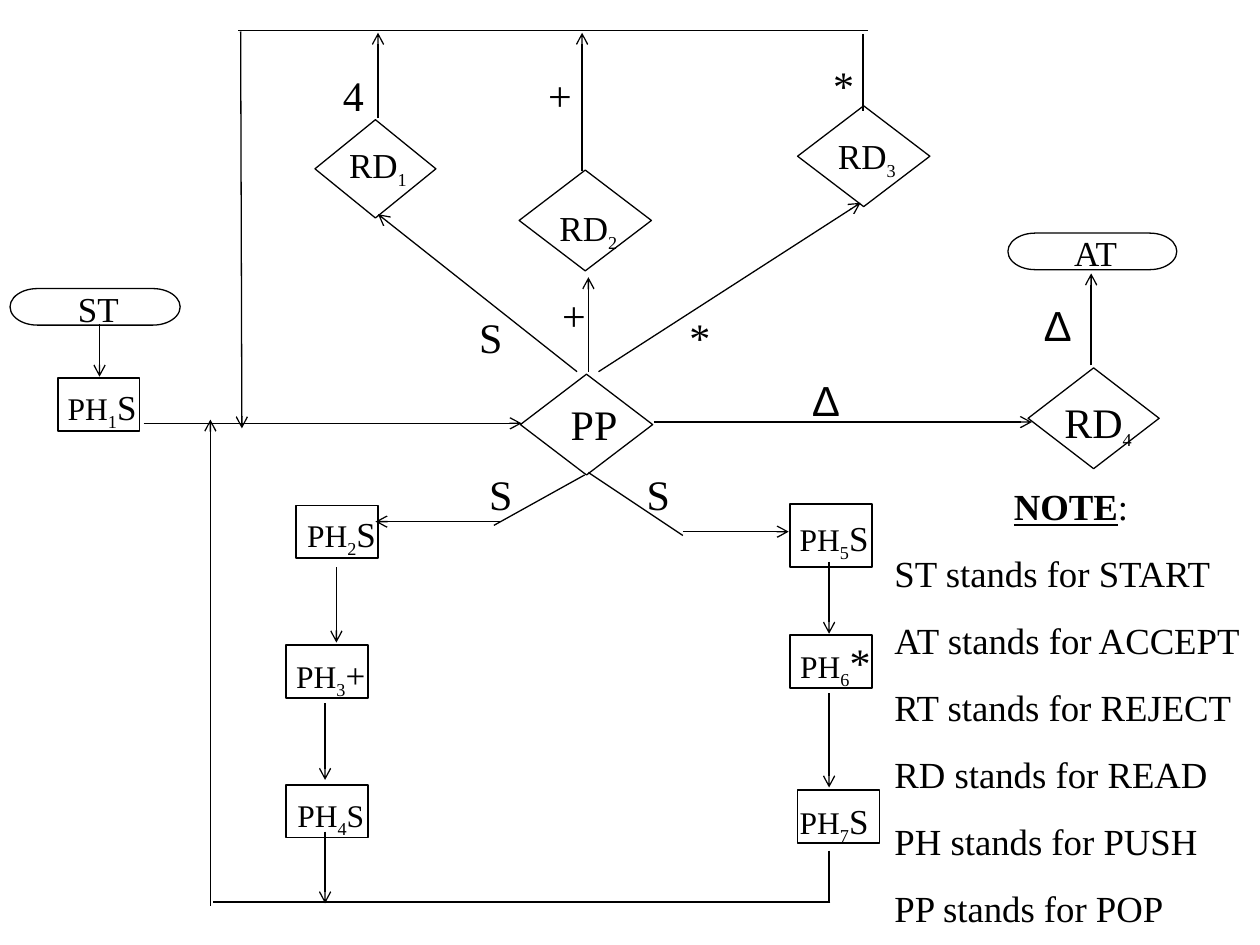
import pptx
import pptx.dml.color
import pptx.enum.shapes
import pptx.enum.text
import pptx.oxml.ns
import pptx.util
import lxml.etree

Inches = pptx.util.Inches
SHAPE = pptx.enum.shapes.MSO_SHAPE
INK = "000000"
SERIF = "Times New Roman"

PUSH_NODES = [
    ((0.46, 3, 0.65, 0.42), (-0.04, 0.01, 0.78, 0.47), "1", "S", 20),
    ((2.35, 4.01, 0.65, 0.42), (-0.03, 0.01, 0.78, 0.47), "2", "S", 20),
    ((2.27, 5.12, 0.65, 0.42), (-0.04, 0.02, 0.79, 0.47), "3", "+", 20),
    ((2.27, 6.23, 0.65, 0.42), (-0.03, 0.04, 0.77, 0.44), "4", "S", 18),
    ((6.27, 4, 0.65, 0.5), (-0.04, 0.05, 0.78, 0.47), "5", "S", 20),
    ((6.27, 5.04, 0.65, 0.42), (-0.04, -0.04, 0.8, 0.53), "6", "*", 24),
    ((6.33, 6.27, 0.65, 0.42), (-0.1, 0.03, 0.78, 0.47), "7", "S", 20),
]
DECISION_NODES = [
    ((2.5, 0.95, 0.96, 0.78), (0.15, 0.14, 0.7, 0.47), "RD", "1", 20),
    ((4.12, 1.35, 1.05, 0.8), (0.2, 0.24, 0.7, 0.47), "RD", "2", 20),
    ((6.33, 0.84, 1.05, 0.8), (0.2, 0.18, 0.7, 0.47), "RD", "3", 20),
    ((8.16, 2.92, 1.04, 0.8), (0.17, 0.18, 0.77, 0.53), "RD", "4", 24),
    ((4.13, 2.97, 1.05, 0.8), (0.28, 0.14, 0.61, 0.5), "PP", "", 24),
]
TERMINAL_NODES = [
    ((8, 1.85, 1.34, 0.29), (0.25, -0.06, 0.89, 0.44), "AT"),
    ((0.08, 2.29, 1.35, 0.29), (0.25, -0.06, 0.9, 0.44), "ST"),
]
EDGE_LABELS = [
    (2.58, 0.5, "4"), (4.22, 0.5, "+"), (6.47, 0.42, "*"),
    (3.67, 2.42, "S"), (4.33, 2.25, "+"), (5.33, 2.42, "*"),
    (3.75, 3.67, "S"), (5, 3.67, "S"), (8.17, 2.33, "∆"), (6.33, 2.92, "∆"),
]
ARROWS = [
    (3, 0.94, 3, 0.26), (4.62, 1.36, 4.62, 0.26), (1.91, 0.25, 1.92, 3.4),
    (0.79, 2.57, 0.79, 2.99), (1.14, 3.36, 4.14, 3.36), (8.66, 2.9, 8.66, 2.17),
    (4.58, 2.95, 3, 1.7), (4.67, 2.95, 4.67, 2.2), (4.75, 2.95, 6.83, 1.61),
    (5.19, 3.35, 8.19, 3.35), (3.98, 4.14, 2.98, 4.14), (5.42, 4.22, 6.26, 4.22),
    (2.67, 4.5, 2.67, 5.1), (2.58, 5.58, 2.58, 6.19), (2.58, 6.6, 2.58, 7.17),
    (6.58, 4.46, 6.58, 5.03), (6.58, 5.5, 6.58, 6.25), (1.67, 7.19, 1.67, 3.33),
]
PLAIN_LINES = [
    (6.89, 0.24, 1.89, 0.24), (6.85, 0.27, 6.85, 0.88), (3.92, 4.17, 4.64, 3.77),
    (5.42, 4.25, 4.67, 3.75), (6.59, 7.16, 1.69, 7.16), (6.58, 6.75, 6.58, 7.15),
]
MEANINGS = {"ST": "START", "AT": "ACCEPT", "RT": "REJECT",
            "RD": "READ", "PH": "PUSH", "PP": "POP"}


def color(value):
    """Turn a hex string into a colour."""
    return pptx.dml.color.RGBColor.from_string(value)


def add_span(para, text, size, face=SERIF, subscript=False):
    """Add one formatted run to a paragraph."""
    span = para.add_run()
    span.text = text
    span.font.size = pptx.util.Pt(size)
    span.font.name = face
    span.font.color.rgb = color(INK)
    if subscript:
        span.font._element.set("baseline", "-25000")
    return span


def add_text_box(page, box, wrap=True):
    """Add an empty text box and return its frame."""
    frame = page.shapes.add_textbox(*map(Inches, box)).text_frame
    frame.word_wrap = wrap
    frame.auto_size = pptx.enum.text.MSO_AUTO_SIZE.SHAPE_TO_FIT_TEXT
    return frame


def add_label(page, box, spans, wrap=False):
    """Add a centred one-line label from (text, size, face, subscript) spans."""
    para = add_text_box(page, box, wrap).paragraphs[0]
    para.alignment = pptx.enum.text.PP_ALIGN.CENTER
    for span in spans:
        add_span(para, *span)


def add_node(page, kind, box, label_box, spans, wrap=False):
    """Add an outlined node with a label placed relative to its box."""
    shape = page.shapes.add_shape(kind, *map(Inches, box))
    shape.shadow.inherit = False
    shape.fill.background()
    shape.line.color.rgb = color(INK)
    shape.line.width = pptx.util.Pt(0.75)
    left, top, width, height = label_box
    add_label(page, (box[0] + left, box[1] + top, width, height), spans, wrap)


def add_nodes(page):
    """Add the push, decision and terminal nodes."""
    for box, label_box, number, symbol, size in PUSH_NODES:
        spans = [("PH", 18), (number, 18, SERIF, True), (symbol, size)]
        add_node(page, SHAPE.RECTANGLE, box, label_box, spans)
    for box, label_box, name, number, size in DECISION_NODES:
        spans = [(name, size)]
        if number:
            spans.append((number, 18, SERIF, True))
        add_node(page, SHAPE.FLOWCHART_DECISION, box, label_box, spans)
    for box, label_box, name in TERMINAL_NODES:
        add_node(page, SHAPE.FLOWCHART_TERMINATOR, box, label_box, [(name, 20)], True)


def add_line(page, ends, arrow=False):
    """Add a straight line, with an arrowhead at its end if asked."""
    line = page.shapes.add_connector(
        pptx.enum.shapes.MSO_CONNECTOR.STRAIGHT, *map(Inches, ends))
    line.line.color.rgb = color(INK)
    line.line.width = pptx.util.Pt(0.75)
    qualify = pptx.oxml.ns.qn
    if arrow:
        outline = line.line._get_or_add_ln()
        lxml.etree.SubElement(outline, qualify("a:tailEnd"), type="arrow")
    lxml.etree.SubElement(line._element.spPr, qualify("a:effectLst"))


def add_edges(page):
    """Add all lines, arrows and the symbols read along them."""
    for ends in ARROWS:
        add_line(page, ends, arrow=True)
    for ends in PLAIN_LINES:
        add_line(page, ends)
    for left, top, symbol in EDGE_LABELS:
        face = "Arial" if symbol == "∆" else SERIF
        add_label(page, (left, top, 0.45, 0.5), [(symbol, 24, face)], wrap=True)


def add_note(page, box):
    """Add the key to the abbreviations."""
    frame = add_text_box(page, box)
    heading = frame.paragraphs[0]
    heading.alignment = pptx.enum.text.PP_ALIGN.CENTER
    title = add_span(heading, "NOTE", 21)
    title.font.bold = True
    title.font.underline = True
    add_span(heading, ":", 21)
    for short, meaning in MEANINGS.items():
        para = frame.add_paragraph()
        para.space_before = pptx.util.Pt(13.1)
        add_span(para, f"{short} stands for {meaning}", 21)


def main():
    """Build the flowchart slide and save it."""
    deck = pptx.Presentation()
    deck.slide_width, deck.slide_height = Inches(10), Inches(7.5)
    page = deck.slides.add_slide(deck.slide_layouts[6])
    add_nodes(page)
    add_edges(page)
    add_note(page, (7, 3.79, 3, 3.65))
    deck.save("out.pptx")


if __name__ == "__main__":
    main()
